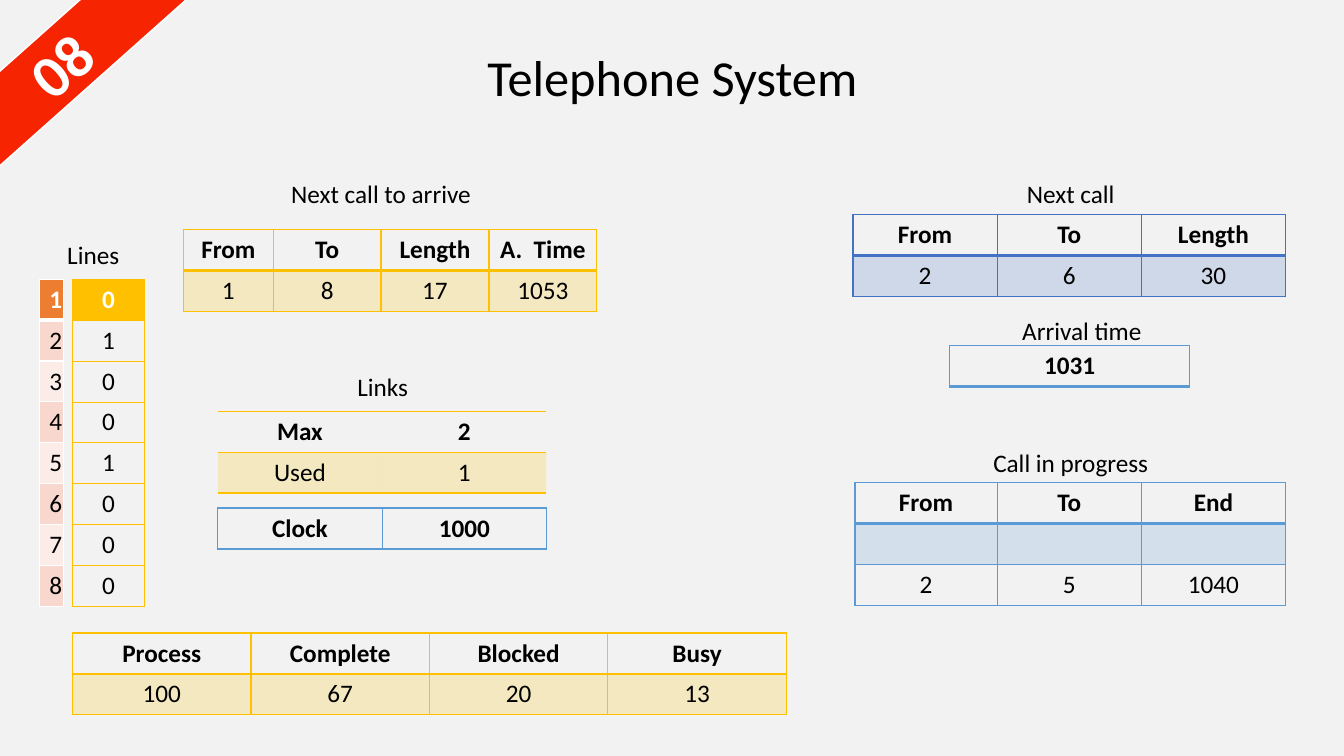
from pptx import Presentation
from pptx.dml.color import RGBColor
from pptx.enum.shapes import MSO_SHAPE
from pptx.enum.text import MSO_ANCHOR, MSO_AUTO_SIZE, PP_ALIGN
from pptx.oxml.ns import qn
from pptx.util import Inches, Pt
from lxml.etree import SubElement

BLACK, WHITE = "000000", "FFFFFF"
GOLD, BLUE, SKY, ORANGE = "FFC000", "4472C4", "5B9BD5", "ED7D31"
ROW_HEIGHT = Inches(0.81) // 2
NO_STYLE = "{2D5ABB26-0587-4C30-8999-92F81FD0307C}"


def paint(color_format, value):
    """Set a fill or font colour from a hex string."""
    if hasattr(color_format, "solid"):
        color_format.solid()
        color_format = color_format.fore_color
    color_format.rgb = RGBColor.from_string(value)


def write(tf, text, size=18, color=BLACK, bold=False):
    """Write one centred Calibri run into a text frame."""
    p = tf.paragraphs[0]
    p.alignment = PP_ALIGN.CENTER
    r = p.add_run()
    r.text = text
    r.font.name, r.font.size, r.font.bold = "Calibri", Pt(size), bold
    paint(r.font.color, color)


prs = Presentation()
prs.slide_width, prs.slide_height = Inches(13.33), Inches(7.5)
s = prs.slides.add_slide(prs.slide_layouts[5])
paint(s.background.fill, "F2F2F2")

title = s.shapes.title
title.left, title.top = Inches(2.3), Inches(0.4)
title.width, title.height = Inches(8.74), Inches(0.71)
write(title.text_frame, "Telephone System", 36)

# left, top, column widths, line colour, sides, line and header line widths,
# header fill, body fills in turn (colour, opacity in percent), rows
line_states = [[v] for v in "01001000"]
line_numbers = [[v] for v in "12345678"]
tables = [
    (0.72, 2.77, [0.71], GOLD, "LRTB", 0.5, 0.5, GOLD, [None], line_states),
    (0.39, 2.77, [0.23], WHITE, "LRTB", 1, 3, ORANGE,
     [("F8D7CE", 100), ("FCECE8", 100)], line_numbers),
    (2.16, 4.08, [1.63] * 2, GOLD, "TB", 1, 1, None, [(GOLD, 20)],
     [["Max", "2"], ["Used", "1"]]),
    (2.16, 5.04, [1.63] * 2, SKY, "LRTB", 1, 2, None, [None],
     [["Clock", "1000"]]),
    (8.46, 2.13, [1.43] * 3, BLUE, "LRTB", 1, 2, None, [(BLUE, 20)],
     [["From", "To", "Length"], ["2", "6", "30"]]),
    (9.42, 3.43, [2.38], SKY, "LRTB", 1, 2, None, [None], [["1031"]]),
    (8.48, 4.79, [1.41, 1.43, 1.43], SKY, "LRTB", 1, 2, None,
     [(SKY, 20), None],
     [["From", "To", "End"], ["", "", ""], ["2", "5", "1040"]]),
    (0.72, 6.28, [1.77] * 4, GOLD, "LRTB", 1, 2, None, [(GOLD, 20)],
     [["Process", "Complete", "Blocked", "Busy"], ["100", "67", "20", "13"]]),
    (1.82, 2.28, [0.89, 1.07, 1.07, 1.07], GOLD, "LRTB", 1, 2, None,
     [(GOLD, 20)],
     [["From", "To", "Length", "A.  Time"], ["1", "8", "17", "1053"]]),
]
for (left, top, widths, color, sides, line, head_line, head_fill, fills,
     rows) in tables:
    table = s.shapes.add_table(
        len(rows), len(widths), Inches(left), Inches(top),
        Inches(sum(widths)), ROW_HEIGHT * len(rows)).table
    table.horz_banding = False
    table._tbl.tblPr.find(qn("a:tableStyleId")).text = NO_STYLE
    for column, width in zip(table.columns, widths):
        column.width = Inches(width)
    for i, row in enumerate(rows):
        table.rows[i].height = ROW_HEIGHT
        head = i == 0
        fill = fills[(i - 1) % len(fills)]
        if head:
            fill = (head_fill, 100) if head_fill else None
        for j, text in enumerate(row):
            cell = table.cell(i, j)
            tcPr = cell._tc.get_or_add_tcPr()
            for side in sides:
                on_head_line = (i, side) in [(0, "B"), (1, "T")]
                points = head_line if on_head_line else line
                ln = SubElement(tcPr, qn("a:ln" + side), w=str(Pt(points)))
                solid = SubElement(ln, qn("a:solidFill"))
                SubElement(solid, qn("a:srgbClr"), val=color)
            if fill:
                paint(cell.fill, fill[0])
                if fill[1] < 100:
                    clr = tcPr.find(qn("a:solidFill")).find(qn("a:srgbClr"))
                    SubElement(clr, qn("a:alpha"), val=str(fill[1] * 1000))
            if text:
                write(cell.text_frame, text, bold=head,
                      color=WHITE if head and head_fill else BLACK)

captions = [
    ("Lines", 0.51, 2.33, 0.83), ("Links", 3.38, 3.63, 0.83),
    ("Next call to arrive", 2.73, 1.72, 2.1),
    ("Next call", 10.03, 1.72, 1.18),
    ("Arrival time", 9.98, 3.08, 1.5),
    ("Call in progress", 9.69, 4.39, 1.86),
]
for text, left, top, width in captions:
    caption = s.shapes.add_textbox(
        Inches(left), Inches(top), Inches(width), Inches(0.4))
    caption.text_frame.word_wrap = False
    caption.text_frame.auto_size = MSO_AUTO_SIZE.SHAPE_TO_FIT_TEXT
    write(caption.text_frame, text)

ribbon = s.shapes.add_shape(
    MSO_SHAPE.RECTANGLE, Inches(-0.75), Inches(0.29), Inches(2.7), Inches(0.7))
ribbon.rotation = 318.3
ribbon.shadow.inherit = False
paint(ribbon.fill, "F62401")
paint(ribbon.line.fill, WHITE)
ribbon.line.width = Pt(1)
ribbon.text_frame.vertical_anchor = MSO_ANCHOR.MIDDLE
write(ribbon.text_frame, "08", 43, WHITE, True)

prs.save("out.pptx")
